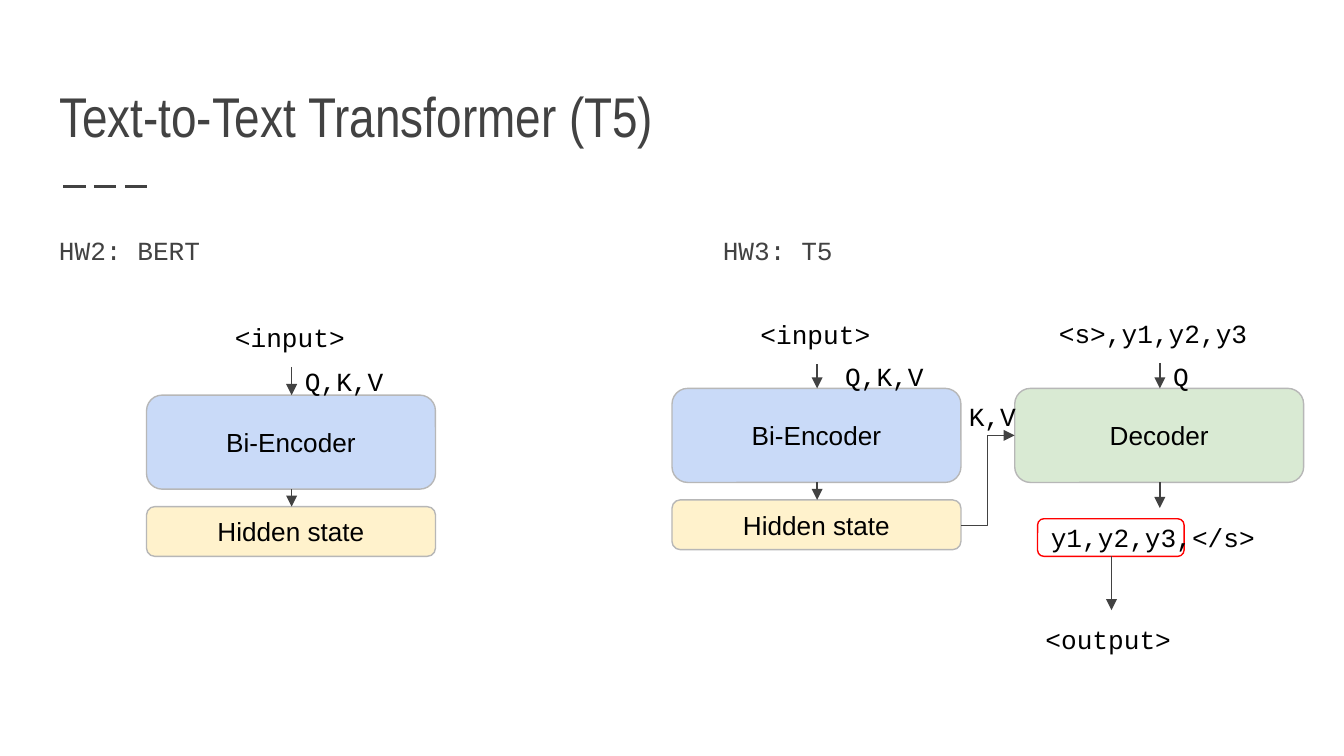
"""Build a slide that compares the BERT and T5 transformer layouts."""
from lxml.etree import SubElement
from pptx import Presentation
from pptx.dml.color import RGBColor
from pptx.enum.dml import MSO_LINE
from pptx.enum.shapes import MSO_CONNECTOR as Connector, MSO_SHAPE as Shape
from pptx.enum.text import MSO_ANCHOR as Anchor, MSO_AUTO_SIZE as AutoSize, PP_ALIGN as Align
from pptx.oxml.ns import qn
from pptx.util import Inches, Pt

DARK = RGBColor(0x42, 0x42, 0x42)
BLACK = RGBColor(0x00, 0x00, 0x00)
GREY = RGBColor(0xB7, 0xB7, 0xB7)
RED = RGBColor(0xFF, 0x00, 0x00)
BLUE = RGBColor(0xC9, 0xDA, 0xF8)
GREEN = RGBColor(0xD9, 0xEA, 0xD3)
YELLOW = RGBColor(0xFF, 0xF2, 0xCC)
MONO = "Courier New"


def write(box, text, font, size=14, color=BLACK, align=Align.LEFT, anchor=Anchor.TOP):
    frame = box.text_frame
    frame.auto_size = AutoSize.NONE
    frame.word_wrap = True
    frame.vertical_anchor = anchor
    frame.margin_left = frame.margin_right = Inches(0.1)
    frame.margin_top = frame.margin_bottom = Inches(0.1)
    para = frame.paragraphs[0]
    para.alignment = align
    span = para.add_run()
    span.text = text
    span.font.name = font
    span.font.size = Pt(size)
    span.font.color.rgb = color
    return para


def connect(kind, start_x, start_y, end_x, end_y, width=0.75, arrow=True):
    ends = [Inches(value) for value in (start_x, start_y, end_x, end_y)]
    link = page.shapes.add_connector(kind, *ends)
    link.line.color.rgb = DARK
    link.line.width = Pt(width)
    if arrow:
        SubElement(link.line._get_or_add_ln(), qn("a:tailEnd"), type="triangle")
    SubElement(link._element.spPr, qn("a:effectLst"))
    return link


deck = Presentation()
deck.slide_width = Inches(10)
deck.slide_height = Inches(10) * 9 // 16
page = deck.slides.add_slide(deck.slide_layouts[5])

title = page.shapes.title
title.left, title.top = Inches(0.34), Inches(0.41)
title.width, title.height = Inches(9.32), Inches(0.8)
write(title, "Text-to-Text Transformer (T5)", "Arial Narrow", 30, DARK, anchor=Anchor.BOTTOM)

rule = connect(Connector.STRAIGHT, 0.47, 1.39, 1.14, 1.39, 1.5, arrow=False)
rule.line.dash_style = MSO_LINE.LONG_DASH

for left, text in ((0.34, "HW2: BERT"), (5.28, "HW3: T5")):
    heading = page.shapes.add_textbox(Inches(left), Inches(1.61), Inches(4.37), Inches(0.48))
    para = write(heading, text, MONO, color=DARK)
    para.line_spacing = 1.15
    para.space_after = Pt(12)

blocks = [
    ("Bi-Encoder", 1.09, 2.94, 2.15, 0.7, BLUE),
    ("Hidden state", 1.09, 3.77, 2.15, 0.37, YELLOW),
    ("Bi-Encoder", 5, 2.89, 2.15, 0.7, BLUE),
    ("Hidden state", 5, 3.72, 2.15, 0.37, YELLOW),
    ("Decoder", 7.55, 2.89, 2.15, 0.7, GREEN),
    (None, 7.72, 3.86, 1.09, 0.28, None),
]
for text, left, top, width, height, fill in blocks:
    block = page.shapes.add_shape(
        Shape.ROUNDED_RECTANGLE, Inches(left), Inches(top), Inches(width), Inches(height))
    block.shadow.inherit = False
    block.line.width = Pt(0.75)
    if text:
        block.fill.solid()
        block.fill.fore_color.rgb = fill
        block.line.color.rgb = GREY
        write(block, text, "Arial", align=Align.CENTER, anchor=Anchor.MIDDLE)
    else:
        block.fill.background()
        block.line.color.rgb = RED

arrows = [
    (2.17, 2.73, 2.94), (2.17, 3.64, 3.77),
    (6.08, 2.71, 2.89), (6.08, 3.59, 3.72),
    (8.63, 2.7, 2.89), (8.63, 3.59, 3.78),
    (8.27, 4.14, 4.54),
]
for x, start, end in arrows:
    connect(Connector.STRAIGHT, x, start, x, end)
connect(Connector.ELBOW, 7.15, 3.91, 7.55, 3.24)

labels = [
    ("<input>", 1.65, 2.29, 1.04),
    ("Q,K,V", 2.17, 2.62, 0.81),
    ("<input>", 5.56, 2.27, 1.04),
    ("Q,K,V", 6.19, 2.58, 0.81),
    ("K,V", 7.11, 2.88, 0.71),
    ("<s>,y1,y2,y3", 7.78, 2.26, 1.69),
    ("Q", 8.63, 2.58, 0.81),
    ("y1,y2,y3,</s>", 7.72, 3.78, 1.81),
    ("<output>", 7.68, 4.54, 1.18),
]
for text, left, top, width in labels:
    label = page.shapes.add_textbox(Inches(left), Inches(top), Inches(width), Inches(0.44))
    write(label, text, MONO)

deck.save("out.pptx")
